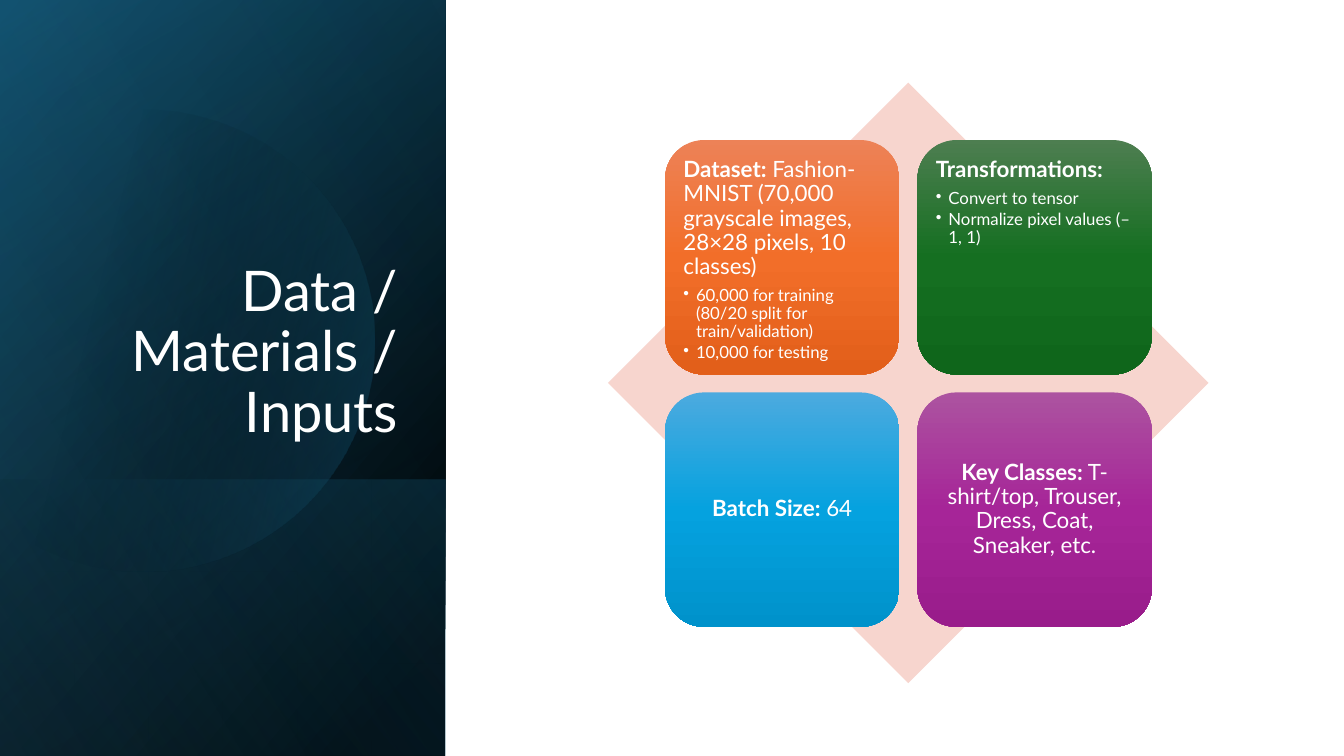
"""Build the data, materials and inputs slide with a four-card matrix."""
import math
from dataclasses import dataclass

from lxml import etree
from pptx import Presentation
from pptx.dml.color import RGBColor
from pptx.enum import shapes, text
from pptx.oxml import ns
from pptx.shapes.autoshape import Shape
from pptx.text.text import TextFrame, _Paragraph
from pptx.util import Pt

FONT = "Lato"
WHITE = RGBColor(0xFF, 0xFF, 0xFF)
BLACK = RGBColor(0x00, 0x00, 0x00)
DEEP_TEAL = RGBColor(0x10, 0x48, 0x62)
TEAL = RGBColor(0x15, 0x60, 0x82)
SKY = RGBColor(0x46, 0xB1, 0xE1)
BLUSH = RGBColor(0xF7, 0xD5, 0xCE)
ORANGE_TOP = RGBColor(0xED, 0x82, 0x57)
ORANGE = RGBColor(0xF2, 0x6E, 0x29)
ORANGE_END = RGBColor(0xE2, 0x5F, 0x1A)
GREEN_TOP = RGBColor(0x4D, 0x7E, 0x50)
GREEN = RGBColor(0x15, 0x6F, 0x21)
GREEN_END = RGBColor(0x0F, 0x66, 0x1B)
BLUE_TOP = RGBColor(0x4C, 0xAA, 0xDF)
BLUE = RGBColor(0x05, 0xA2, 0xDF)
BLUE_END = RGBColor(0x00, 0x92, 0xCB)
PURPLE_TOP = RGBColor(0xAC, 0x53, 0xA0)
PURPLE = RGBColor(0xA6, 0x25, 0x98)
PURPLE_END = RGBColor(0x99, 0x1C, 0x8B)

SLIDE_W, SLIDE_H = 960, 540
PANEL_W = 318.25
BAND_TOP = 342.7
DISC_X, DISC_Y, DISC_R = 102.2, 243.4, 165
CARD_LEFT, CARD_TOP = 475, 100
CARD_SIZE, CARD_PITCH = 167.5, 180.3


@dataclass(frozen=True)
class Stop:
    """One gradient stop, with position and opacity in percent."""
    position: int
    color: RGBColor
    opacity: int = 100


@dataclass(frozen=True)
class Panel:
    """A gradient layer of the left panel, reaching the slide bottom."""
    top: float
    angle: float
    stops: tuple[Stop, ...]


@dataclass(frozen=True)
class Card:
    """A rounded card with a bold heading, a detail and bullets."""
    heading: str
    detail: str
    colors: tuple[RGBColor, RGBColor, RGBColor]
    bullets: tuple[str, ...] = ()


BACK_PANELS = (
    Panel(0, 220, (Stop(8, BLACK), Stop(100, DEEP_TEAL))),
    Panel(0, 240, (Stop(0, BLACK, 0), Stop(99, TEAL, 46))),
    Panel(BAND_TOP, 140, (Stop(2, TEAL, 29), Stop(100, BLACK, 30))),
)
FRONT_PANEL = Panel(0, 150, (Stop(0, BLACK, 0), Stop(99, SKY, 11)))
DISC_STOPS = (Stop(29, BLACK, 0), Stop(100, TEAL, 43))
CARDS = (
    Card("Dataset:", " Fashion-MNIST (70,000 grayscale images, 28×28 pixels, 10 classes)",
         (ORANGE_TOP, ORANGE, ORANGE_END),
         ("60,000 for training (80/20 split for train/validation)", "10,000 for testing")),
    Card("Transformations:", "", (GREEN_TOP, GREEN, GREEN_END),
         ("Convert to tensor", "Normalize pixel values (–1, 1)")),
    Card("Batch Size:", " 64", (BLUE_TOP, BLUE, BLUE_END)),
    Card("Key Classes:", " T-shirt/top, Trouser, Dress, Coat, Sneaker, etc.",
         (PURPLE_TOP, PURPLE, PURPLE_END)),
)


def fill_gradient(s: Shape, angle: float, stops: tuple[Stop, ...]) -> None:
    """Give a flat, unlined shape a linear gradient at a clockwise angle."""
    s.shadow.inherit = False
    s.line.fill.background()
    s.fill.gradient()
    s.fill.gradient_angle = 360 - angle
    stop_list = s._element.spPr.find(f".//{ns.qn('a:gsLst')}")
    for old in list(stop_list):
        stop_list.remove(old)
    for stop in stops:
        gs = etree.SubElement(stop_list, ns.qn("a:gs"), pos=str(stop.position * 1000))
        color = etree.SubElement(gs, ns.qn("a:srgbClr"), val=str(stop.color))
        if stop.opacity < 100:
            etree.SubElement(color, ns.qn("a:alpha"), val=str(stop.opacity * 1000))


def add_run(p: _Paragraph, content: str, size: float, bold: bool = False) -> None:
    """Append a white run to a paragraph."""
    r = p.add_run()
    r.text = content
    r.font.name = FONT
    r.font.size = Pt(size)
    r.font.bold = bold
    r.font.color.rgb = WHITE


def add_bullet(tf: TextFrame, content: str) -> None:
    """Append a bulleted second-level paragraph."""
    p = tf.add_paragraph()
    p.level = 1
    p.alignment = text.PP_ALIGN.LEFT
    p.line_spacing = 0.9
    p.space_after = Pt(1.8)
    pPr = p._p.get_or_add_pPr()
    pPr.set("marL", str(Pt(9)))
    pPr.set("indent", str(Pt(-9)))
    etree.SubElement(pPr, ns.qn("a:buChar"), char="•")
    add_run(p, content, 12)


def add_panel(slide, panel: Panel) -> None:
    """Draw one gradient layer of the left panel."""
    s = slide.shapes.add_shape(shapes.MSO_SHAPE.RECTANGLE, 0, Pt(panel.top),
                               Pt(PANEL_W), Pt(SLIDE_H - panel.top))
    fill_gradient(s, panel.angle, panel.stops)


def add_disc(slide) -> None:
    """Draw the translucent disc cut off at the left slide edge."""
    half_arc = math.acos(-DISC_X / DISC_R)
    steps = 90
    angles = [half_arc * (2 * i / steps - 1) for i in range(steps + 1)]
    points = [(Pt(DISC_X + DISC_R * math.cos(a)), Pt(DISC_Y + DISC_R * math.sin(a)))
              for a in angles]
    builder = slide.shapes.build_freeform(*points[0])
    builder.add_line_segments(points[1:], close=True)
    fill_gradient(builder.convert_to_shape(), 14, DISC_STOPS)


def add_title(slide) -> None:
    """Write the slide title on the panel."""
    s = slide.shapes.add_textbox(Pt(46), Pt(132.5), Pt(245.5), Pt(188.6))
    tf = s.text_frame
    tf.word_wrap = True
    tf.vertical_anchor = text.MSO_ANCHOR.BOTTOM
    p = tf.paragraphs[0]
    p.alignment = text.PP_ALIGN.RIGHT
    p.line_spacing = 0.9
    add_run(p, "Data / Materials / Inputs", 40)


def add_diamond(slide) -> None:
    """Draw the pale diamond behind the cards."""
    s = slide.shapes.add_shape(shapes.MSO_SHAPE.DIAMOND, Pt(434.3), Pt(59), Pt(429), Pt(429))
    s.shadow.inherit = False
    s.fill.solid()
    s.fill.fore_color.rgb = BLUSH
    s.line.fill.background()


def add_card(slide, index: int, card: Card) -> None:
    """Draw a card at its place in the two-by-two grid."""
    row, col = divmod(index, 2)
    s = slide.shapes.add_shape(
        shapes.MSO_SHAPE.ROUNDED_RECTANGLE, Pt(CARD_LEFT + col * CARD_PITCH),
        Pt(CARD_TOP + row * CARD_PITCH), Pt(CARD_SIZE), Pt(CARD_SIZE))
    fill_gradient(s, 90, tuple(Stop(i * 50, c) for i, c in enumerate(card.colors)))
    tf = s.text_frame
    tf.word_wrap = True
    tf.margin_left = tf.margin_right = tf.margin_top = tf.margin_bottom = Pt(5)
    tf.vertical_anchor = text.MSO_ANCHOR.TOP if card.bullets else text.MSO_ANCHOR.MIDDLE
    p = tf.paragraphs[0]
    p.alignment = text.PP_ALIGN.LEFT if card.bullets else text.PP_ALIGN.CENTER
    p.line_spacing = 0.9
    p.space_after = Pt(5.6)
    add_run(p, card.heading, 16, bold=True)
    if card.detail:
        add_run(p, card.detail, 16)
    for bullet in card.bullets:
        add_bullet(tf, bullet)


def main() -> None:
    """Assemble and save the slide."""
    prs = Presentation()
    prs.slide_width, prs.slide_height = Pt(SLIDE_W), Pt(SLIDE_H)
    slide = prs.slides.add_slide(prs.slide_layouts[6])
    for panel in BACK_PANELS:
        add_panel(slide, panel)
    add_disc(slide)
    add_panel(slide, FRONT_PANEL)
    add_title(slide)
    add_diamond(slide)
    for index, card in enumerate(CARDS):
        add_card(slide, index, card)
    prs.save("out.pptx")


if __name__ == "__main__":
    main()
